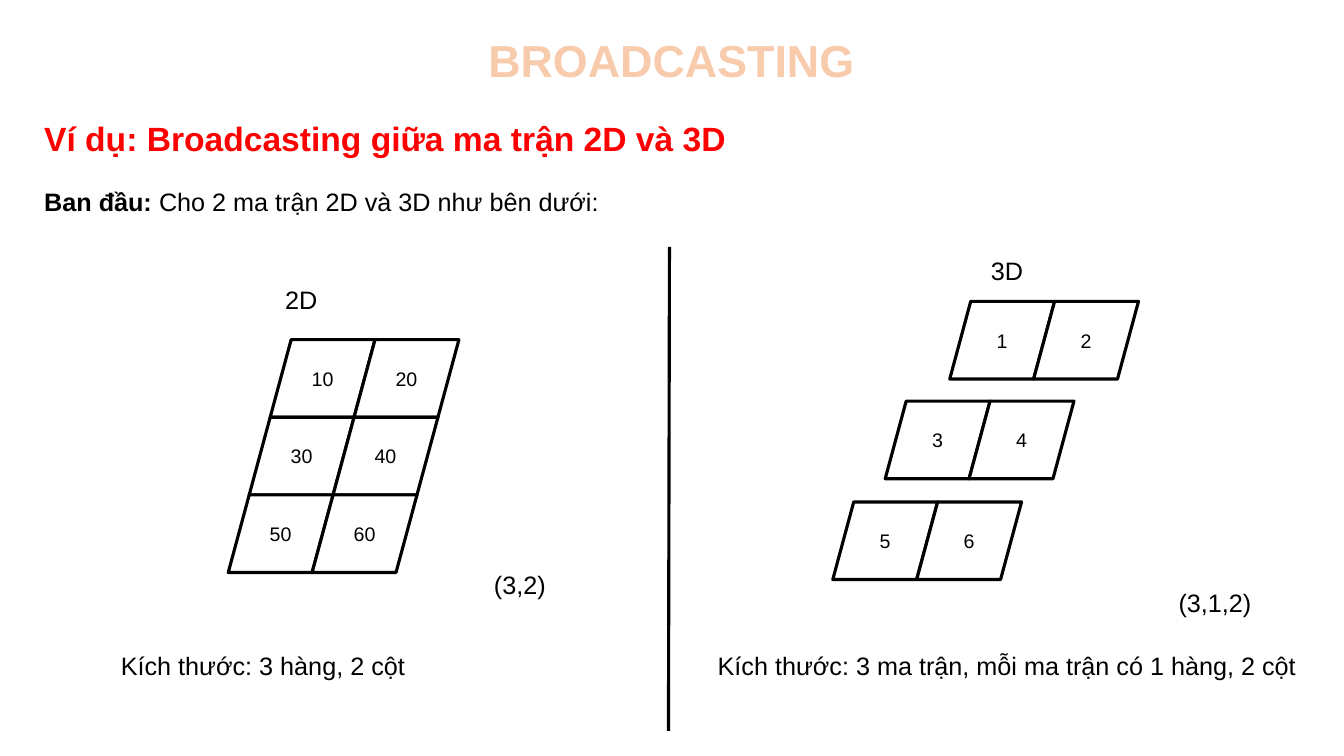
"""Build a slide that introduces broadcasting between a 2D and a 3D matrix."""
from lxml import etree
from pptx import Presentation
from pptx import util as u
from pptx.dml.color import RGBColor
from pptx.enum import shapes, text
from pptx.oxml import ns

COLORS = {"title": "F8CBAD", "title_edge": "ED7D31", "heading": "FF0000",
          "ink": "000000", "paper": "FFFFFF"}
FONT = "Arial"
WIDTH, HEIGHT = 13.33, 7.5
MIDDLE = 6.64
CELL_WIDTH, CELL_HEIGHT = 1.04, 0.77
SLANT = CELL_WIDTH / 5
COLUMN_STEP = CELL_WIDTH - SLANT
LABEL_HEIGHT = 0.4


def color(name):
    """Return a palette colour."""
    return RGBColor.from_string(COLORS[name])


def write(para, words, size=18, ink="ink", bold=False):
    """Append a formatted span to a paragraph and return it."""
    span = para.add_run()
    span.text = words
    span.font.name, span.font.size, span.font.bold = FONT, u.Pt(size), bold
    span.font.color.rgb = color(ink)
    return span


def outline(span, ink, points):
    """Give the letters of a span a coloured edge."""
    edge = etree.Element(ns.qn("a:ln"), w=str(u.Pt(points)))
    fill = etree.SubElement(edge, ns.qn("a:solidFill"))
    etree.SubElement(fill, ns.qn("a:srgbClr"), val=COLORS[ink])
    span.font._element.insert(0, edge)


def label(page, left, top, width, words="", height=LABEL_HEIGHT, wrap=False, **style):
    """Place a text box and return its paragraph and first span."""
    box = page.shapes.add_textbox(*map(u.Inches, (left, top, width, height)))
    box.text_frame.word_wrap = wrap
    box.text_frame.auto_size = text.MSO_AUTO_SIZE.SHAPE_TO_FIT_TEXT
    para = box.text_frame.paragraphs[0]
    return para, write(para, words, **style)


def cell(parts, left, top, value):
    """Draw one slanted matrix cell with its value."""
    box = parts.add_shape(shapes.MSO_SHAPE.FLOWCHART_DATA,
                          *map(u.Inches, (left, top, CELL_WIDTH, CELL_HEIGHT)))
    box.shadow.inherit = False
    box.fill.solid()
    box.fill.fore_color.rgb = color("paper")
    box.line.color.rgb = color("ink")
    box.line.width = u.Pt(2.25)
    box.text_frame.vertical_anchor = text.MSO_ANCHOR.MIDDLE
    para = box.text_frame.paragraphs[0]
    para.alignment = text.PP_ALIGN.CENTER
    write(para, str(value), size=14)


def matrix(page, left, top, rows):
    """Draw a grouped matrix whose rows shift left by the cell slant."""
    parts = page.shapes.add_group_shape().shapes
    for row, values in enumerate(rows):
        for column, value in enumerate(values):
            cell(parts, left + column * COLUMN_STEP - row * SLANT,
                 top + row * CELL_HEIGHT, value)


def panel(page, left, matrices, labels):
    """Place the matrices and labels of one half from its left edge."""
    for offset, top, rows in matrices:
        matrix(page, left + offset, top, rows)
    for offset, top, width, words in labels:
        label(page, left + offset, top, width, words)


def header(page):
    """Place the title, the heading and the opening sentence."""
    para, span = label(page, 4.03, 0.28, 5.26, "BROADCASTING", height=0.64,
                       wrap=True, size=32, ink="title", bold=True)
    para.alignment = text.PP_ALIGN.CENTER
    outline(span, "title_edge", 1.75)
    label(page, 0.34, 1.12, 6.96, "Ví dụ: Broadcasting giữa ma trận 2D và 3D",
          height=0.5, size=24, ink="heading", bold=True)
    para, _ = label(page, 0.34, 1.8, 5.7, "Ban đầu: ", bold=True)
    write(para, "Cho 2 ma trận 2D và 3D như bên dưới:")


def divider(page):
    """Draw the line between the two halves."""
    line = page.shapes.add_connector(
        shapes.MSO_CONNECTOR.STRAIGHT,
        *map(u.Inches, (MIDDLE, 2.45, MIDDLE - 0.01, 7.25)))
    line.line.color.rgb = color("ink")
    line.line.width = u.Pt(2.25)
    etree.SubElement(line._element.spPr, ns.qn("a:effectLst"))


def main():
    """Build and save the deck."""
    deck = Presentation()
    deck.slide_width, deck.slide_height = u.Inches(WIDTH), u.Inches(HEIGHT)
    page = deck.slides.add_slide(deck.slide_layouts[6])
    header(page)
    divider(page)
    panel(page, 0, [(2.68, 3.37, [(10, 20), (30, 40), (50, 60)])],
          [(2.73, 2.77, 0.52, "2D"), (4.8, 5.6, 0.75, "(3,2)"),
           (1.1, 6.4, 3.02, "Kích thước: 3 hàng, 2 cột")])
    panel(page, MIDDLE,
          [(2.78, 2.99, [(1, 2)]), (2.14, 3.98, [(3, 4)]), (1.62, 4.98, [(5, 6)])],
          [(3.09, 2.48, 0.52, "3D"), (4.95, 5.78, 0.92, "(3,1,2)"),
           (0.38, 6.4, 6, "Kích thước: 3 ma trận, mỗi ma trận có 1 hàng, 2 cột")])
    deck.save("out.pptx")


if __name__ == "__main__":
    main()
